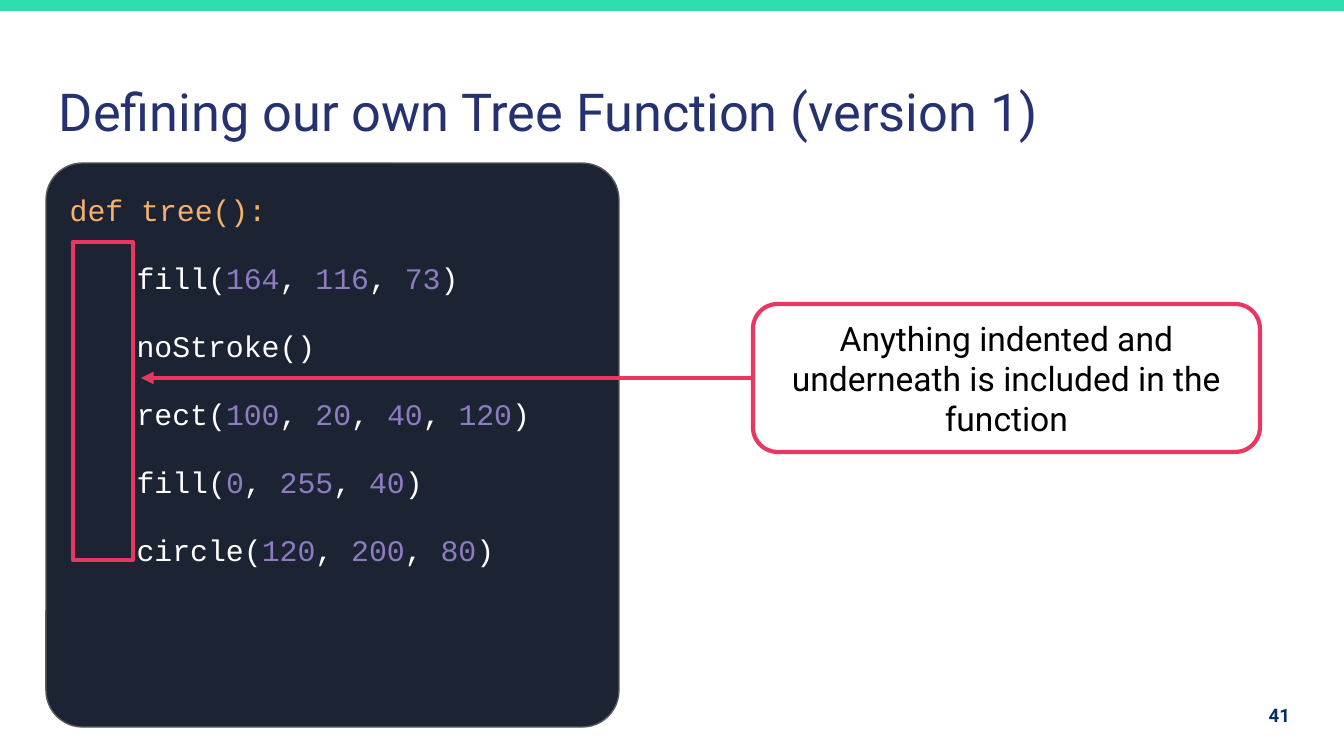
from dataclasses import dataclass
from itertools import cycle

from lxml import etree
from pptx import Presentation
from pptx.dml.color import RGBColor
from pptx.enum.shapes import MSO_CONNECTOR, MSO_SHAPE
from pptx.enum.text import MSO_ANCHOR, PP_ALIGN
from pptx.oxml.ns import qn
from pptx.util import Emu, Inches, Pt

RECTANGLE = MSO_SHAPE.RECTANGLE
ROUNDED = MSO_SHAPE.ROUNDED_RECTANGLE
STRAIGHT = MSO_CONNECTOR.STRAIGHT
LEFT, CENTER, RIGHT = PP_ALIGN.LEFT, PP_ALIGN.CENTER, PP_ALIGN.RIGHT
TOP, MIDDLE = MSO_ANCHOR.TOP, MSO_ANCHOR.MIDDLE

SLIDE_WIDTH, SLIDE_HEIGHT = 1344, 756
EMU_PER_PX = Inches(10) / SLIDE_WIDTH
INSET = 13
CODE_INDENT = 67
PINK, WHITE, ORANGE, PURPLE = "E93761", "FFFFFF", "F6B26B", "8E7CC3"


@dataclass(frozen=True)
class Box:
    left: int
    top: int
    width: int
    height: int
    fill: str | None = None
    line: str | None = None
    line_width: float = 2.25
    geometry: MSO_SHAPE = RECTANGLE
    corner: float | None = None


@dataclass(frozen=True)
class Label:
    text: str
    size: int
    color: str
    align: PP_ALIGN = LEFT
    anchor: MSO_ANCHOR = MIDDLE
    bold: bool = False


TOP_BAR = Box(-1, 0, 1346, 11, fill="30DDAE")
TITLE_BOX = Box(46, 66, 1252, 85)
CODE_PANEL = Box(46, 163, 573, 564, "1C2333", "595959", 0.75, ROUNDED, 0.065)
PAGE_BOX = Box(1223, 686, 80, 58)
CALLOUT = Box(753, 304, 507, 148, None, PINK, 2.25, ROUNDED, 0.167)
INDENT_FRAME = Box(73, 242, 60, 318, line=PINK)
ARROW_TIP = 141

TITLE = Label("Defining our own Tree Function (version 1)", 28, "25326F", anchor=TOP)
NOTE = Label("Anything indented and underneath is included in the function",
             18, "000000", CENTER)
PAGE_NUMBER = Label("41", 10, "032F62", RIGHT, bold=True)
CALLS = (
    ("fill", (164, 116, 73)),
    ("noStroke", ()),
    ("rect", (100, 20, 40, 120)),
    ("fill", (0, 255, 40)),
    ("circle", (120, 200, 80)),
)


def px(length: int) -> Emu:
    return Emu(round(length * EMU_PER_PX))


def rgb(color: str) -> RGBColor:
    return RGBColor.from_string(color)


def add_box(slide, box: Box):
    shape = slide.shapes.add_shape(
        box.geometry, px(box.left), px(box.top), px(box.width), px(box.height))
    shape.shadow.inherit = False
    if box.corner is not None:
        shape.adjustments[0] = box.corner
    if box.fill:
        shape.fill.solid()
        shape.fill.fore_color.rgb = rgb(box.fill)
    else:
        shape.fill.background()
    if box.line:
        shape.line.color.rgb = rgb(box.line)
        shape.line.width = Pt(box.line_width)
    else:
        shape.line.fill.background()
    return shape


def add_text_box(slide, box: Box):
    return slide.shapes.add_textbox(
        px(box.left), px(box.top), px(box.width), px(box.height))


def prepare_frame(shape, anchor: MSO_ANCHOR):
    frame = shape.text_frame
    frame.word_wrap = True
    frame.vertical_anchor = anchor
    frame.margin_left = frame.margin_right = px(INSET)
    frame.margin_top = frame.margin_bottom = px(INSET)
    return frame


def write_label(shape, label: Label) -> None:
    paragraph = prepare_frame(shape, label.anchor).paragraphs[0]
    paragraph.text = label.text
    paragraph.alignment = label.align
    font = paragraph.font
    font.name, font.size, font.bold = "Roboto", Pt(label.size), label.bold
    font.color.rgb = rgb(label.color)


def style_code(paragraph) -> None:
    paragraph.alignment = LEFT
    paragraph.line_spacing = 1.15
    paragraph.font.name = "Courier New"
    paragraph.font.size = Pt(16)


def call_pieces(name: str, arguments: tuple[int, ...]) -> list[str]:
    if not arguments:
        return [f"{name}()"]
    pieces = [f"{name}("]
    for argument in arguments:
        pieces += [str(argument), ", "]
    pieces[-1] = ")"
    return pieces


def write_code(shape) -> None:
    frame = prepare_frame(shape, TOP)
    heading = frame.paragraphs[0]
    heading.text = "def tree():"
    style_code(heading)
    heading.font.color.rgb = rgb(ORANGE)
    for name, arguments in CALLS:
        paragraph = frame.add_paragraph()
        style_code(paragraph)
        paragraph.space_before = Pt(14.3)
        paragraph._p.get_or_add_pPr().set("marL", str(px(CODE_INDENT)))
        for piece, color in zip(call_pieces(name, arguments), cycle((WHITE, PURPLE))):
            run = paragraph.add_run()
            run.text = piece
            run.font.color.rgb = rgb(color)


def add_arrow(slide, start: int, end: int, height: int) -> None:
    connector = slide.shapes.add_connector(
        STRAIGHT, px(start), px(height), px(end), px(height))
    connector.line.color.rgb = rgb(PINK)
    connector.line.width = Pt(2.25)
    etree.SubElement(connector.line._get_or_add_ln(), qn("a:tailEnd"), type="triangle")
    etree.SubElement(connector._element.spPr, qn("a:effectLst"))


def main() -> None:
    presentation = Presentation()
    presentation.slide_width = px(SLIDE_WIDTH)
    presentation.slide_height = px(SLIDE_HEIGHT)
    slide = presentation.slides.add_slide(presentation.slide_layouts[6])
    add_box(slide, TOP_BAR)
    write_label(add_text_box(slide, TITLE_BOX), TITLE)
    write_code(add_box(slide, CODE_PANEL))
    write_label(add_text_box(slide, PAGE_BOX), PAGE_NUMBER)
    write_label(add_box(slide, CALLOUT), NOTE)
    add_arrow(slide, CALLOUT.left, ARROW_TIP, CALLOUT.top + CALLOUT.height // 2)
    add_box(slide, INDENT_FRAME)
    presentation.save("out.pptx")


if __name__ == "__main__":
    main()
